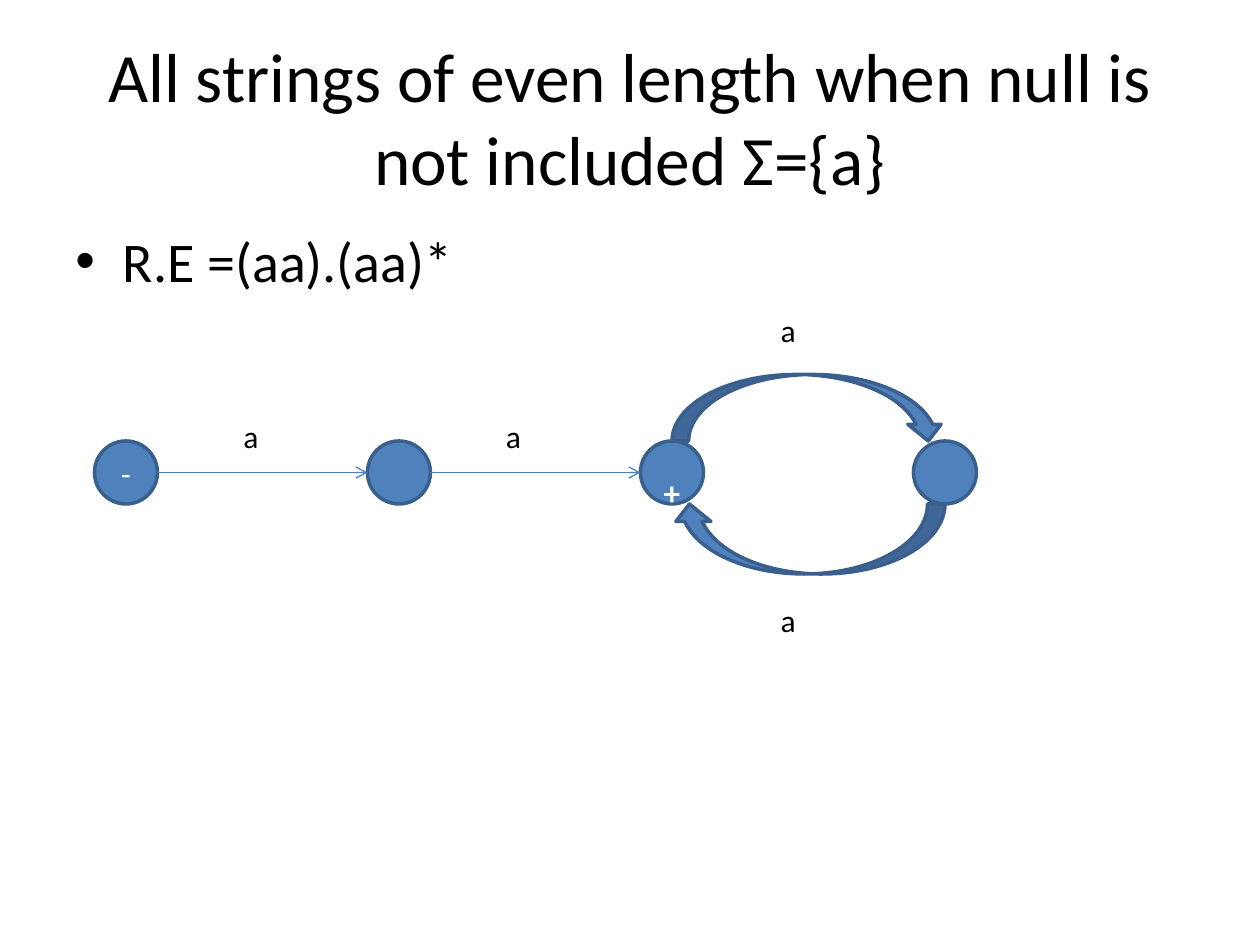
from dataclasses import dataclass

from lxml import etree
from pptx import Presentation
from pptx import util as u
from pptx.dml import color
from pptx.enum import shapes, text
from pptx.oxml import ns


@dataclass(frozen=True)
class Theme:
    font: str = "Calibri"
    ink: str = "000000"
    on_state: str = "FFFFFF"
    state: str = "4F81BD"
    outline: str = "3A5F8C"
    transition: str = "4B7EBC"
    title_size: float = 39.6
    body_size: float = 32
    label_size: float = 18
    final_size: float = 19


class AutomatonSlide:
    def __init__(self, slide, theme):
        self.slide = slide
        self.theme = theme

    def set_words(self, frame, words, size, ink, align, bold=False):
        frame.word_wrap = True
        frame.text = words
        line = frame.paragraphs[0]
        line.alignment = align
        font = line.runs[0].font
        font.name, font.size, font.bold = self.theme.font, u.Pt(size), bold
        font.color.rgb = color.RGBColor.from_string(ink)

    def text(self, words, box, size, align=text.PP_ALIGN.LEFT,
             anchor=text.MSO_ANCHOR.TOP):
        frame = self.slide.shapes.add_textbox(*map(u.Pt, box)).text_frame
        frame.vertical_anchor = anchor
        self.set_words(frame, words, size, self.theme.ink, align)
        return frame

    def bullet(self, words, box, indent):
        item = self.text(words, box, self.theme.body_size).paragraphs[0]
        properties = item._p.get_or_add_pPr()
        properties.set("marL", str(u.Pt(indent)))
        properties.set("indent", str(u.Pt(-indent)))
        etree.SubElement(properties, ns.qn("a:buFont")).set("typeface", "Arial")
        etree.SubElement(properties, ns.qn("a:buChar")).set("char", "•")

    def label(self, words, left, top):
        frame = self.text(words, (left, top, 45, 29), self.theme.label_size)
        frame.auto_size = text.MSO_AUTO_SIZE.SHAPE_TO_FIT_TEXT

    def solid(self, preset, box):
        solid = self.slide.shapes.add_shape(preset, *map(u.Pt, box))
        solid.shadow.inherit = False
        solid.fill.solid()
        solid.fill.fore_color.rgb = color.RGBColor.from_string(self.theme.state)
        solid.line.color.rgb = color.RGBColor.from_string(self.theme.outline)
        solid.line.width = u.Pt(2)
        return solid

    def state(self, sign, left, top, size, final=False):
        state = self.solid(shapes.MSO_SHAPE.OVAL, (left, top, size, size))
        if not sign:
            return
        frame = state.text_frame
        frame.vertical_anchor = text.MSO_ANCHOR.MIDDLE
        if final:
            frame.vertical_anchor = text.MSO_ANCHOR.TOP
            frame.margin_top, frame.margin_bottom = u.Pt(12.7), u.Pt(0)
        type_size = self.theme.final_size if final else self.theme.label_size
        self.set_words(frame, sign, type_size, self.theme.on_state,
                       text.PP_ALIGN.CENTER, final)

    def transition(self, start, end, y):
        arrow = self.slide.shapes.add_connector(
            shapes.MSO_CONNECTOR.STRAIGHT, *map(u.Pt, (start, y, end, y)))
        arrow.line.color.rgb = color.RGBColor.from_string(self.theme.transition)
        arrow.line.width = u.Pt(0.75)
        properties = arrow._element.spPr
        outline = properties.find(ns.qn("a:ln"))
        etree.SubElement(outline, ns.qn("a:tailEnd")).set("type", "arrow")
        etree.SubElement(properties, ns.qn("a:effectLst"))

    def loop(self, preset, box, mirrored=False):
        loop = self.solid(preset, box)
        if mirrored:
            loop._element.spPr.find(ns.qn("a:xfrm")).set("flipH", "1")


def main():
    deck = Presentation()
    deck.slide_width, deck.slide_height = u.Pt(720), u.Pt(540)
    theme = Theme()
    page = AutomatonSlide(deck.slides.add_slide(deck.slide_layouts[6]), theme)

    page.text("All strings of even length when null is not included Σ={a}",
              (36, 21.6, 648, 90), theme.title_size,
              text.PP_ALIGN.CENTER, text.MSO_ANCHOR.MIDDLE)
    page.bullet("R.E =(aa).(aa)*", (36, 126, 648, 356.4), 27)

    first, top, size, pitch = 54, 252, 36, 156
    lefts = [first + pitch * step for step in range(4)]
    for left, sign in zip(lefts, ("-", "", "+", "")):
        page.state(sign, left, top, size, final=sign == "+")
    for left, following in zip(lefts[:2], lefts[1:]):
        page.transition(left + size, following, top + size / 2)

    loop_left = lefts[2] + size / 2
    page.loop(shapes.MSO_SHAPE.CURVED_DOWN_ARROW,
              (loop_left, top - 38, pitch, 38))
    page.loop(shapes.MSO_SHAPE.CURVED_UP_ARROW,
              (loop_left, top + size, pitch, 40), mirrored=True)

    for left, label_top in ((439, 174), (439, 340), (132, 235), (282, 235)):
        page.label("a", left, label_top)

    deck.save("out.pptx")


if __name__ == "__main__":
    main()
